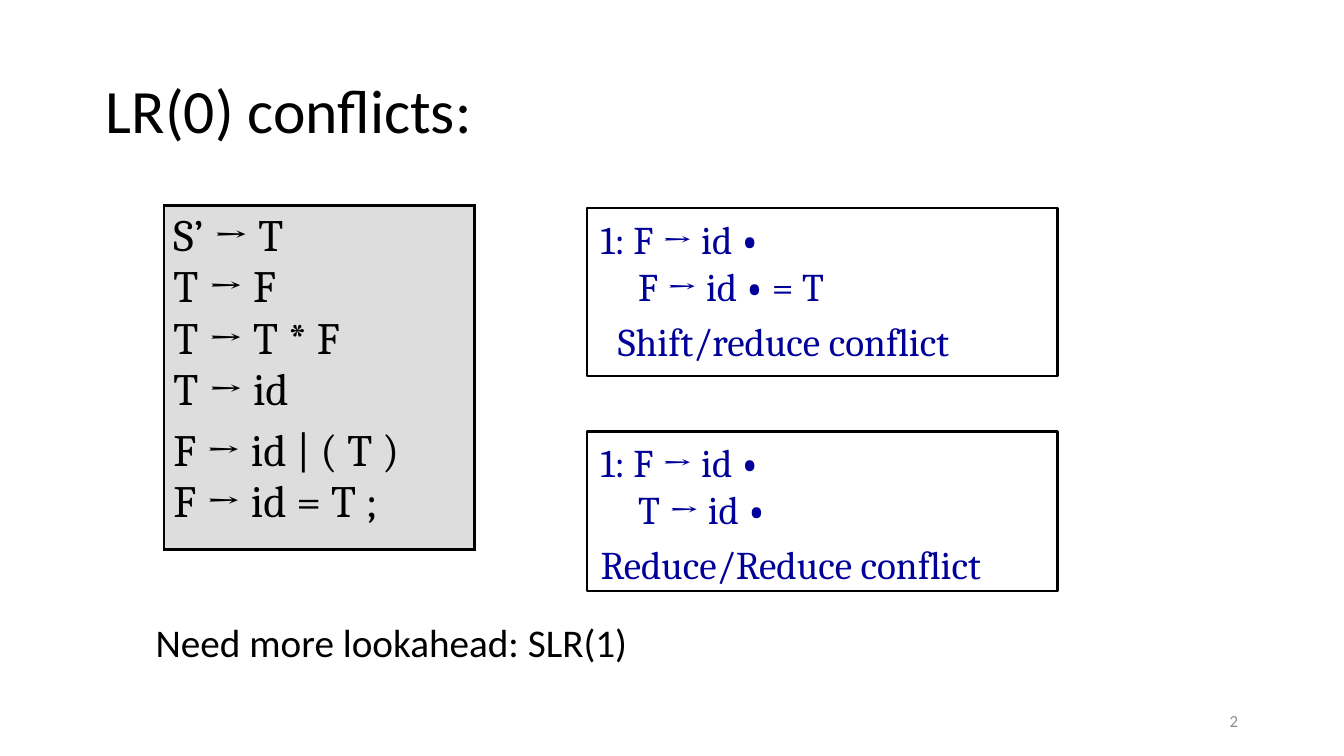
from lxml import etree
from pptx import Presentation
from pptx.dml.color import RGBColor
from pptx.enum.shapes import MSO_SHAPE
from pptx.enum.text import MSO_ANCHOR, PP_ALIGN
from pptx.oxml.ns import qn
from pptx.util import Inches, Pt

RECTANGLE = MSO_SHAPE.RECTANGLE
TOP, MIDDLE = MSO_ANCHOR.TOP, MSO_ANCHOR.MIDDLE
LEFT, RIGHT = PP_ALIGN.LEFT, PP_ALIGN.RIGHT

BLACK, BLUE, GRAY, SILVER = "000000", "000099", "8C8C8C", "DDDDDD"
DOT = "•"  # parser position in an item, always bold


def color(hex_value):
    return RGBColor.from_string(hex_value)


def write_text(frame, text, size=21, font="Calibri", fill=BLACK, align=LEFT,
               anchor=TOP, line_spacing=1.0, space_before=0, indents=None):
    """Write paragraphs split by a newline and lines split by a vertical tab.

    indents holds one (left margin, first line) pair in inches per paragraph.
    """
    frame.word_wrap = True
    frame.vertical_anchor = anchor
    for index, content in enumerate(text.split("\n")):
        paragraph = frame.paragraphs[0] if index == 0 else frame.add_paragraph()
        paragraph.alignment = align
        paragraph.line_spacing = line_spacing
        paragraph.space_before = Pt(space_before if index else 0)
        if indents:
            margin, first_line = indents[index]
            properties = paragraph._p.get_or_add_pPr()
            properties.set("marL", str(Inches(margin)))
            properties.set("indent", str(Inches(first_line)))
        for line_index, line in enumerate(content.split("\v")):
            if line_index:
                paragraph.add_line_break()
            for part in line.partition(DOT):
                if part:
                    run = paragraph.add_run()
                    run.text = part
                    run.font.bold = part == DOT
        paragraph.font.size = Pt(size)
        for run in paragraph.runs:
            run.font.size = Pt(size)
            run.font.name = font
            run.font.color.rgb = color(fill)


class SlideBuilder:
    """Holds the serif style of the grammar boxes and the current slide."""

    serif = "Cambria"
    paragraph_gap = 0.2  # share of the text size

    def __init__(self, slide):
        self.slide = slide

    def text(self, text, left, top, width, height, **style):
        box = self.slide.shapes.add_textbox(
            Inches(left), Inches(top), Inches(width), Inches(height))
        write_text(box.text_frame, text, **style)

    def grammar_table(self, text, left, top, width, height, size=24):
        table = self.slide.shapes.add_table(
            1, 1, Inches(left), Inches(top), Inches(width), Inches(height)).table
        table.first_row = table.horz_banding = False
        cell = table.cell(0, 0)
        cell.margin_left = cell.margin_right = Inches(0.07)
        cell.margin_top = cell.margin_bottom = Inches(0.04)
        write_text(cell.text_frame, text, size=size, font=self.serif,
                   space_before=size * self.paragraph_gap)
        self.cell_borders(cell, 1.5)
        cell.fill.solid()
        cell.fill.fore_color.rgb = color(SILVER)

    def cell_borders(self, cell, width):
        properties = cell._tc.get_or_add_tcPr()
        for side in ("a:lnL", "a:lnR", "a:lnT", "a:lnB"):
            border = etree.SubElement(properties, qn(side), w=str(Pt(width)))
            solid = etree.SubElement(border, qn("a:solidFill"))
            etree.SubElement(solid, qn("a:srgbClr"), val=BLACK)

    def conflict_box(self, text, top, height, label_margin, size=21):
        hanging = 0.28
        shape = self.slide.shapes.add_shape(
            RECTANGLE, Inches(4.37), Inches(top), Inches(3.5), Inches(height))
        shape.shadow.inherit = False
        shape.fill.background()
        shape.line.color.rgb = color(BLACK)
        shape.line.width = Pt(1.25)
        write_text(shape.text_frame, text, size=size, font=self.serif, fill=BLUE,
                   space_before=size * self.paragraph_gap,
                   indents=[(hanging, -hanging), (label_margin, -hanging)])


def main():
    presentation = Presentation()
    presentation.slide_width = Inches(10)
    presentation.slide_height = Inches(10) * 9 // 16
    slide = presentation.slides.add_slide(presentation.slide_layouts[6])
    builder = SlideBuilder(slide)

    # Title and slide number
    builder.text("LR(0) conflicts:", 0.69, 0.3, 8.62, 1.09,
                 size=33, anchor=MIDDLE, line_spacing=0.9)
    builder.text("2", 7.06, 5.21, 2.25, 0.3,
                 size=9, fill=GRAY, align=RIGHT, anchor=MIDDLE)

    # Grammar
    builder.grammar_table(
        "S’ → T\vT → F\vT → T * F\vT → id\nF → id | ( T )\vF → id = T ;",
        1.22, 1.53, 2.31, 2.56)

    # Conflicts
    builder.conflict_box("1: F → id •\vF → id • = T\nShift/reduce conflict",
                         1.55, 1.25, label_margin=0.41)
    builder.conflict_box("1: F → id •\vT → id •\nReduce/Reduce conflict",
                         3.21, 1.19, label_margin=0.28)

    # Conclusion
    builder.text("Need more lookahead: SLR(1)", 1.06, 4.62, 4.69, 0.39,
                 line_spacing=0.8, indents=[(0.19, -0.19)])

    presentation.save("out.pptx")


if __name__ == "__main__":
    main()
